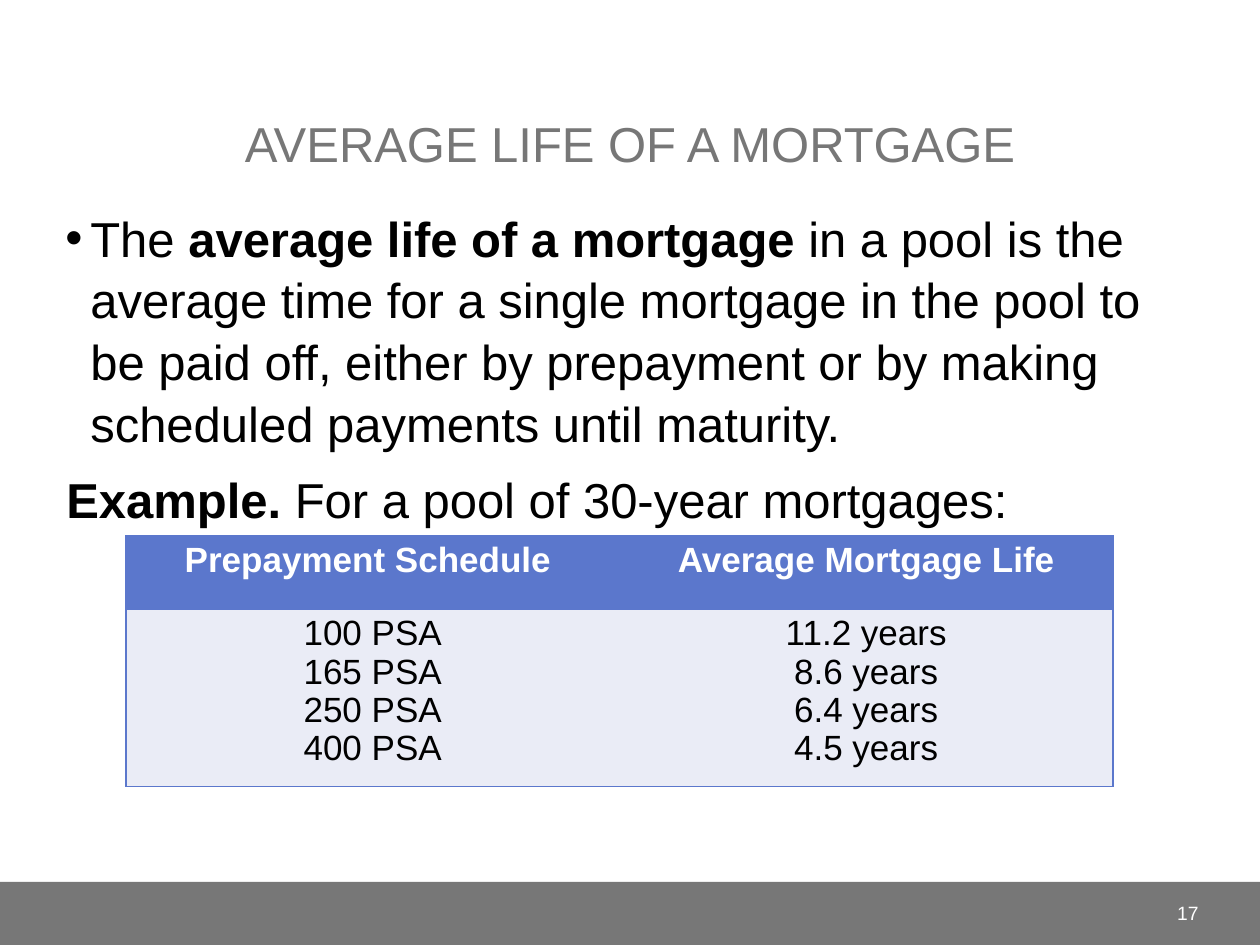
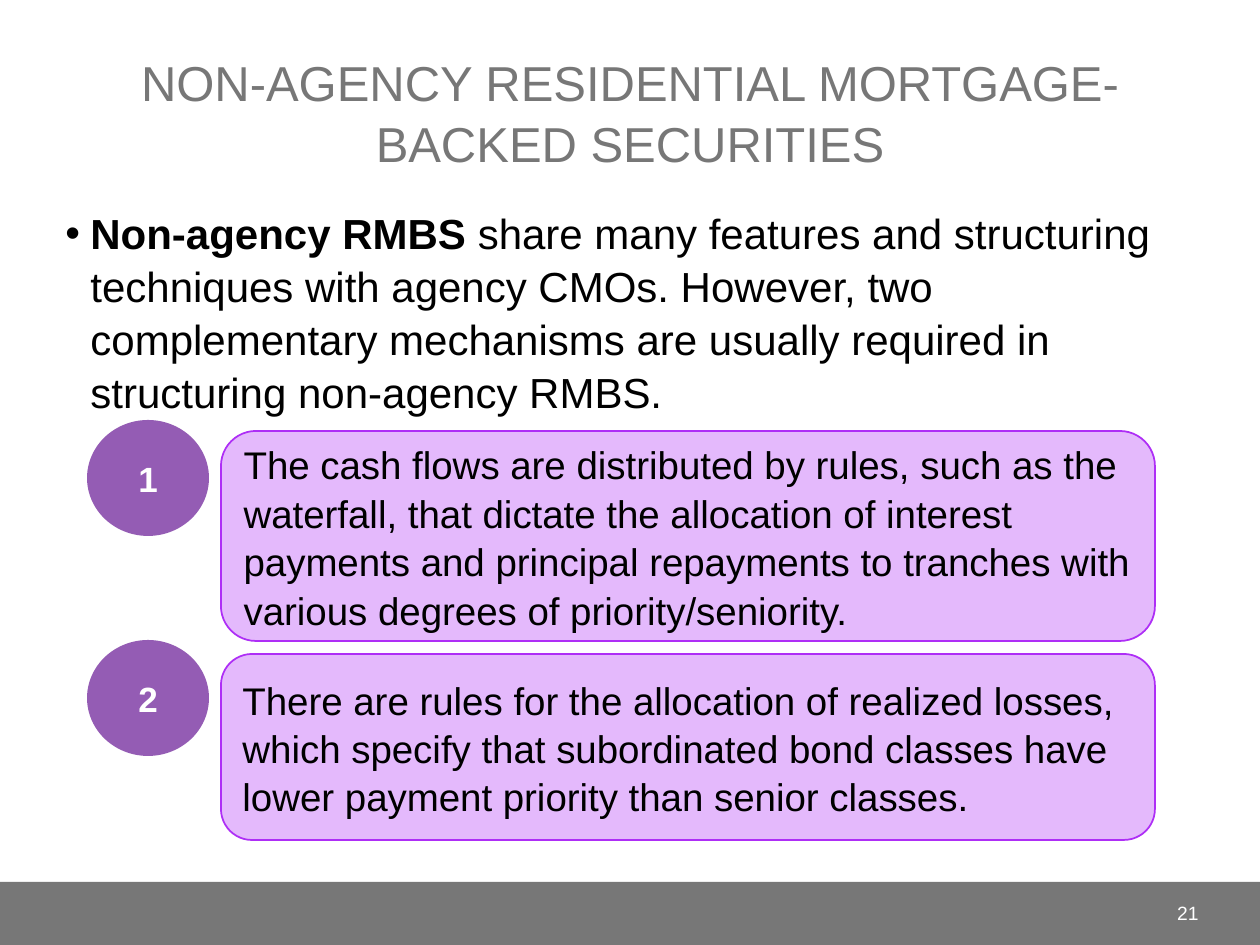
import lxml.etree
import pptx
import pptx.dml.color
import pptx.enum.shapes
import pptx.enum.text
import pptx.oxml
import pptx.oxml.ns
import pptx.util

EMU_PER_PX = 914400 / 126
SLIDE_SIZE = (1260, 945)
TITLE_BOX = (53, 21, 1154, 158)
BODY_BOX = (53, 199, 1154, 651)
BAND_BOX = (0, 882, 1260, 63)
NUMBER_BOX = (1103, 887, 108, 50)

FONT = "Arial"
GREY, BLACK, WHITE = "777777", "000000", "FFFFFF"
BLUE, PALE_BLUE = "5B77CC", "EAECF6"
PURPLE, LILAC, VIOLET = "5C068C", "E4B9FC", "AE2EF6"
LINE_SPACING = 1.05

ALIGN = pptx.enum.text.PP_ALIGN
ANCHOR = pptx.enum.text.MSO_ANCHOR
SHAPE = pptx.enum.shapes.MSO_SHAPE


def px(length):
    return pptx.util.Emu(round(length * EMU_PER_PX))


def emu_box(box):
    return [px(length) for length in box]


def rgb(color):
    return pptx.dml.color.RGBColor.from_string(color)


def add_xml(parent, tag, **attributes):
    element = lxml.etree.SubElement(parent, pptx.oxml.ns.qn(tag))
    for name, value in attributes.items():
        element.set(name, str(value))
    return element


def style_paragraph(paragraph, size, color, align=ALIGN.LEFT, bold=False,
                    spacing=LINE_SPACING):
    paragraph.alignment = align
    paragraph.line_spacing = spacing
    for run in paragraph.runs:
        font = run.font
        font.name, font.size, font.bold = FONT, pptx.util.Pt(size), bold
        font.color.rgb = rgb(color)


def indent(paragraph, margin, bullet=False):
    """Set the left margin, with a hanging bullet if asked for."""
    properties = paragraph._p.get_or_add_pPr()
    properties.set("marL", str(px(margin)))
    properties.set("indent", str(px(-margin if bullet else 0)))
    if bullet:
        add_xml(properties, "a:buFont", typeface=FONT)
        add_xml(properties, "a:buChar", char="•")
    else:
        add_xml(properties, "a:buNone")


def add_text_box(slide, box, anchor=ANCHOR.TOP):
    text_frame = slide.shapes.add_textbox(*emu_box(box)).text_frame
    text_frame.word_wrap = True
    text_frame.vertical_anchor = anchor
    return text_frame


def add_filled_shape(slide, kind, box, fill, line=None):
    shape = slide.shapes.add_shape(kind, *emu_box(box))
    shape.shadow.inherit = False
    shape.fill.solid()
    shape.fill.fore_color.rgb = rgb(fill)
    if line:
        shape.line.color.rgb = rgb(line)
        shape.line.width = pptx.util.Pt(1)
    else:
        shape.line.fill.background()
    return shape


def write_in_shape(shape, text, size, color, **style):
    text_frame = shape.text_frame
    text_frame.text = text
    text_frame.word_wrap = True
    text_frame.vertical_anchor = ANCHOR.MIDDLE
    style_paragraph(text_frame.paragraphs[0], size, color, **style)


def add_base_slide(presentation, title_text, number):
    """Add a slide with its title, footer band and slide number."""
    slide = presentation.slides.add_slide(presentation.slide_layouts[5])
    add_filled_shape(slide, SHAPE.RECTANGLE, BAND_BOX, GREY)

    title = slide.shapes.title
    title.left, title.top, title.width, title.height = emu_box(TITLE_BOX)
    title.text_frame.text = title_text
    title.text_frame.word_wrap = True
    title.text_frame.auto_size = pptx.enum.text.MSO_AUTO_SIZE.NONE
    title.text_frame.vertical_anchor = ANCHOR.BOTTOM
    style_paragraph(title.text_frame.paragraphs[0], 28, GREY, ALIGN.CENTER)

    number_frame = add_text_box(slide, NUMBER_BOX, ANCHOR.MIDDLE)
    number_frame.text = str(number)
    style_paragraph(number_frame.paragraphs[0], 11, WHITE, ALIGN.RIGHT)
    return slide


def add_body(slide, box, size, paragraphs, space_before=0):
    """Write paragraphs given as (has bullet, [(text, is bold), ...])."""
    text_frame = add_text_box(slide, box)
    for index, (bullet, parts) in enumerate(paragraphs):
        paragraph = text_frame.paragraphs[0] if index == 0 else text_frame.add_paragraph()
        if index:
            paragraph.space_before = pptx.util.Pt(space_before)
        for text, _ in parts:
            paragraph.add_run().text = text
        style_paragraph(paragraph, size, BLACK)
        for run, (_, bold) in zip(paragraph.runs, parts):
            run.font.bold = bold
        indent(paragraph, 25 if bullet else 1, bullet)


def set_borders(cell, visible_sides):
    properties = cell._tc.get_or_add_tcPr()
    for side in "LRTB":
        line = add_xml(properties, f"a:ln{side}", w=pptx.util.Pt(1))
        if side in visible_sides:
            add_xml(add_xml(line, "a:solidFill"), "a:srgbClr", val=BLUE)
        else:
            add_xml(line, "a:noFill")


def add_life_table(slide, box, header_height, headers, columns):
    """Add a header row above one row that lists each column's lines."""
    rows = [headers, ["\n".join(lines) for lines in columns]]
    table = slide.shapes.add_table(len(rows), len(headers), *emu_box(box)).table
    table.rows[0].height = px(header_height)
    table.rows[1].height = px(box[3] - header_height)
    for row, texts in enumerate(rows):
        for column, text in enumerate(texts):
            cell = table.cell(row, column)
            cell.text_frame.text = text
            set_borders(cell, "TB" + "LR"[column])
            cell.fill.solid()
            cell.fill.fore_color.rgb = rgb(PALE_BLUE if row else BLUE)
            for paragraph in cell.text_frame.paragraphs:
                style_paragraph(paragraph, 20, BLACK if row else WHITE,
                                ALIGN.CENTER, bold=row == 0, spacing=0.98)


def add_numbered_rule(slide, box, badge_top, number, text):
    """Add a numbered badge and, to its right, a rounded text panel."""
    left, top, width, height = box
    badge = add_filled_shape(slide, SHAPE.OVAL, (left, badge_top, 122, 116), PURPLE)
    fill_color = badge.fill._xPr.find(".//" + pptx.oxml.ns.qn("a:srgbClr"))
    add_xml(fill_color, "a:alpha", val=65000)
    write_in_shape(badge, str(number), 20, WHITE, align=ALIGN.CENTER, bold=True)

    panel_offset = 134
    panel = add_filled_shape(
        slide, SHAPE.ROUNDED_RECTANGLE,
        (left + panel_offset, top, width - panel_offset, height), LILAC, VIOLET)
    write_in_shape(panel, text, 22, BLACK)


def build_average_life(presentation):
    slide = add_base_slide(presentation, "AVERAGE LIFE OF A MORTGAGE", 17)
    add_body(slide, BODY_BOX, 28, [
        (True, [("The ", False), ("average life of a mortgage ", True),
                ("in a pool is the average time for a single mortgage in the pool "
                 "to be paid off, either by prepayment or by making scheduled "
                 "payments until maturity.", False)]),
        (False, [("Example. ", True), ("For a pool of 30-year mortgages:", False)]),
    ], space_before=8)
    add_life_table(
        slide, (126, 536, 987, 242), 73,
        ["Prepayment Schedule ", "Average Mortgage Life"],
        [["100 PSA", "165 PSA", "250 PSA", "400 PSA"],
         ["11.2 years", "8.6 years", "6.4 years", "4.5 years"]])


def build_non_agency(presentation):
    slide = add_base_slide(
        presentation, "NON-AGENCY RESIDENTIAL MORTGAGE-BACKED SECURITIES", 21)
    add_body(slide, BODY_BOX, 24, [
        (True, [("Non-agency RMBS ", True),
                ("share many features and structuring techniques with agency CMOs. "
                 "However, two complementary mechanisms are usually required in "
                 "structuring non-agency RMBS.", False)]),
    ])
    rules = [
        (431, 210, 420,
         "The cash flows are distributed by rules, such as the waterfall, that "
         "dictate the allocation of interest payments and principal repayments to "
         "tranches with various degrees of priority/seniority."),
        (654, 186, 640,
         "There are rules for the allocation of realized losses, which specify that "
         "subordinated bond classes have lower payment priority than senior classes."),
    ]
    for number, (top, height, badge_top, text) in enumerate(rules, start=1):
        add_numbered_rule(slide, (87, top, 1068, height), badge_top, number, text)


def main():
    presentation = pptx.Presentation()
    presentation.slide_width, presentation.slide_height = emu_box(SLIDE_SIZE)
    build_average_life(presentation)
    build_non_agency(presentation)
    presentation.save("out.pptx")


if __name__ == "__main__":
    main()
